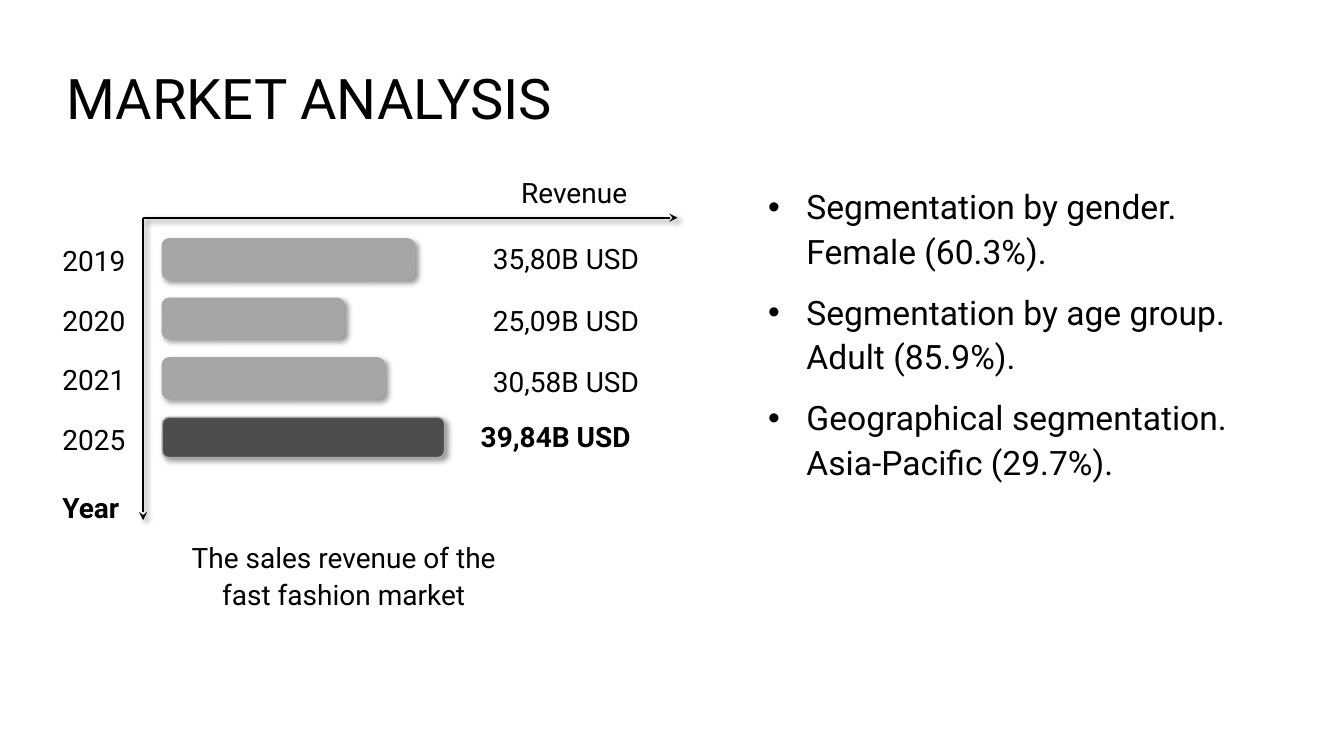
from lxml import etree
from pptx import Presentation
from pptx.dml.color import RGBColor
from pptx.enum.shapes import MSO_CONNECTOR, MSO_SHAPE
from pptx.enum.text import MSO_ANCHOR, MSO_AUTO_SIZE, PP_ALIGN
from pptx.oxml.ns import qn
from pptx.util import Inches, Pt

LEFT, CENTER = PP_ALIGN.LEFT, PP_ALIGN.CENTER
TOP, MIDDLE = MSO_ANCHOR.TOP, MSO_ANCHOR.MIDDLE
NO_AUTOFIT = MSO_AUTO_SIZE.NONE
ROUNDED, STRAIGHT = MSO_SHAPE.ROUNDED_RECTANGLE, MSO_CONNECTOR.STRAIGHT

FONT = "Roboto"
COLORS = {"text": "000000", "axis": "000000", "shadow": "000000",
          "bar": "A6A6A6", "forecast": "4D4D4D", "outline": "A6A6A6"}

TITLE = "MARKET ANALYSIS"
# year, bar length, revenue, is forecast
REVENUES = [
    ("2019", 2.5, "35,80B USD", False),
    ("2020", 1.8, "25,09B USD", False),
    ("2021", 2.2, "30,58B USD", False),
    ("2025", 2.8, "39,84B USD", True),
]
CAPTION = ["The sales revenue of the", "fast fashion market"]
SEGMENTS = [
    "Segmentation by gender. Female (60.3%).",
    "Segmentation by age group. Adult (85.9%).",
    "Geographical segmentation. Asia-Pacific (29.7%).",
]

YEAR_LEFT, BAR_LEFT, REVENUE_LEFT = 0.52, 1.61, 4.79
FIRST_ROW, ROW_STEP, BAR_HEIGHT = 2.37, 0.59, 0.4
LABEL_HEIGHT = 0.44
AXIS_X, AXIS_Y = 1.42, 2.16
AXIS_ENDS = [(AXIS_X, 5.16), (6.72, AXIS_Y)]


def rgb(name):
    return RGBColor.from_string(COLORS[name])


def add_shadow(shape):
    """Give the shape a soft shadow falling to the lower right."""
    properties = shape._element.spPr
    for old in properties.findall(qn("a:effectLst")):
        properties.remove(old)
    effects = etree.SubElement(properties, qn("a:effectLst"))
    shadow = etree.SubElement(
        effects, qn("a:outerShdw"), blurRad=str(Pt(4)), dist=str(Pt(3)),
        dir="2700000", algn="tl", rotWithShape="0")
    color = etree.SubElement(shadow, qn("a:srgbClr"), val=COLORS["shadow"])
    etree.SubElement(color, qn("a:alpha"), val="40000")


def add_bullet(paragraph):
    properties = paragraph._p.get_or_add_pPr()
    properties.set("marL", str(Inches(0.38)))
    properties.set("indent", str(-Inches(0.38)))
    etree.SubElement(properties, qn("a:buFont"), typeface="Arial")
    etree.SubElement(properties, qn("a:buChar"), char="•")


def write(frame, lines, size=20, bold=False, align=LEFT, spacing=1.0,
          gap=0, bullets=False, anchor=TOP):
    frame.word_wrap = True
    frame.auto_size = NO_AUTOFIT
    frame.vertical_anchor = anchor
    for index, line in enumerate(lines):
        paragraph = frame.add_paragraph() if index else frame.paragraphs[0]
        if bullets:
            add_bullet(paragraph)
        paragraph.alignment = align
        paragraph.line_spacing = spacing
        paragraph.space_before = Pt(gap if index else 0)
        paragraph.space_after = Pt(gap)
        run = paragraph.add_run()
        run.text = line
        run.font.name = FONT
        run.font.size = Pt(size)
        run.font.bold = bold
        run.font.color.rgb = rgb("text")


def add_text(slide, lines, left, top, width, height=LABEL_HEIGHT, **style):
    box = slide.shapes.add_textbox(
        Inches(left), Inches(top), Inches(width), Inches(height))
    write(box.text_frame, lines, **style)


def add_bar(slide, top, length, color):
    bar = slide.shapes.add_shape(
        ROUNDED, Inches(BAR_LEFT), Inches(top), Inches(length), Inches(BAR_HEIGHT))
    bar.fill.solid()
    bar.fill.fore_color.rgb = rgb(color)
    bar.line.color.rgb = rgb("outline")
    bar.line.width = Pt(1)
    add_shadow(bar)


def add_axis(slide, end_x, end_y):
    axis = slide.shapes.add_connector(
        STRAIGHT, Inches(AXIS_X), Inches(AXIS_Y), Inches(end_x), Inches(end_y))
    axis.line.color.rgb = rgb("axis")
    axis.line.width = Pt(1.5)
    etree.SubElement(axis.line._get_or_add_ln(), qn("a:tailEnd"), type="stealth")
    add_shadow(axis)


def add_revenue_chart(slide):
    for row, (year, length, revenue, forecast) in enumerate(REVENUES):
        top = FIRST_ROW + row * ROW_STEP
        add_bar(slide, top, length, "forecast" if forecast else "bar")
        add_text(slide, [year], YEAR_LEFT, top, 0.9)
        if forecast:
            add_text(slide, [revenue], REVENUE_LEFT - 0.12, top - 0.03, 1.9, bold=True)
        else:
            add_text(slide, [revenue], REVENUE_LEFT, top + 0.02 * (row - 1), 1.8)
    for end in AXIS_ENDS:
        add_axis(slide, *end)
    add_text(slide, ["Revenue"], 5.07, 1.69, 1.8)
    add_text(slide, ["Year"], YEAR_LEFT, 4.82, 0.9, bold=True)
    add_text(slide, CAPTION, 1.06, 5.28, 4.7, 0.81, align=CENTER, spacing=1.1)


def main():
    deck = Presentation()
    deck.slide_width, deck.slide_height = Inches(13.33), Inches(7.5)
    slide = deck.slides.add_slide(deck.slide_layouts[5])

    title = slide.shapes.title
    title.left, title.top = Inches(0.56), Inches(0.58)
    title.width, title.height = Inches(7.2), Inches(0.77)
    write(title.text_frame, [TITLE], size=40, anchor=MIDDLE)

    add_revenue_chart(slide)
    add_text(slide, SEGMENTS, 7.52, 1.76, 4.9, 3.07,
             size=24, spacing=1.1, gap=6, bullets=True)
    deck.save("out.pptx")


if __name__ == "__main__":
    main()
